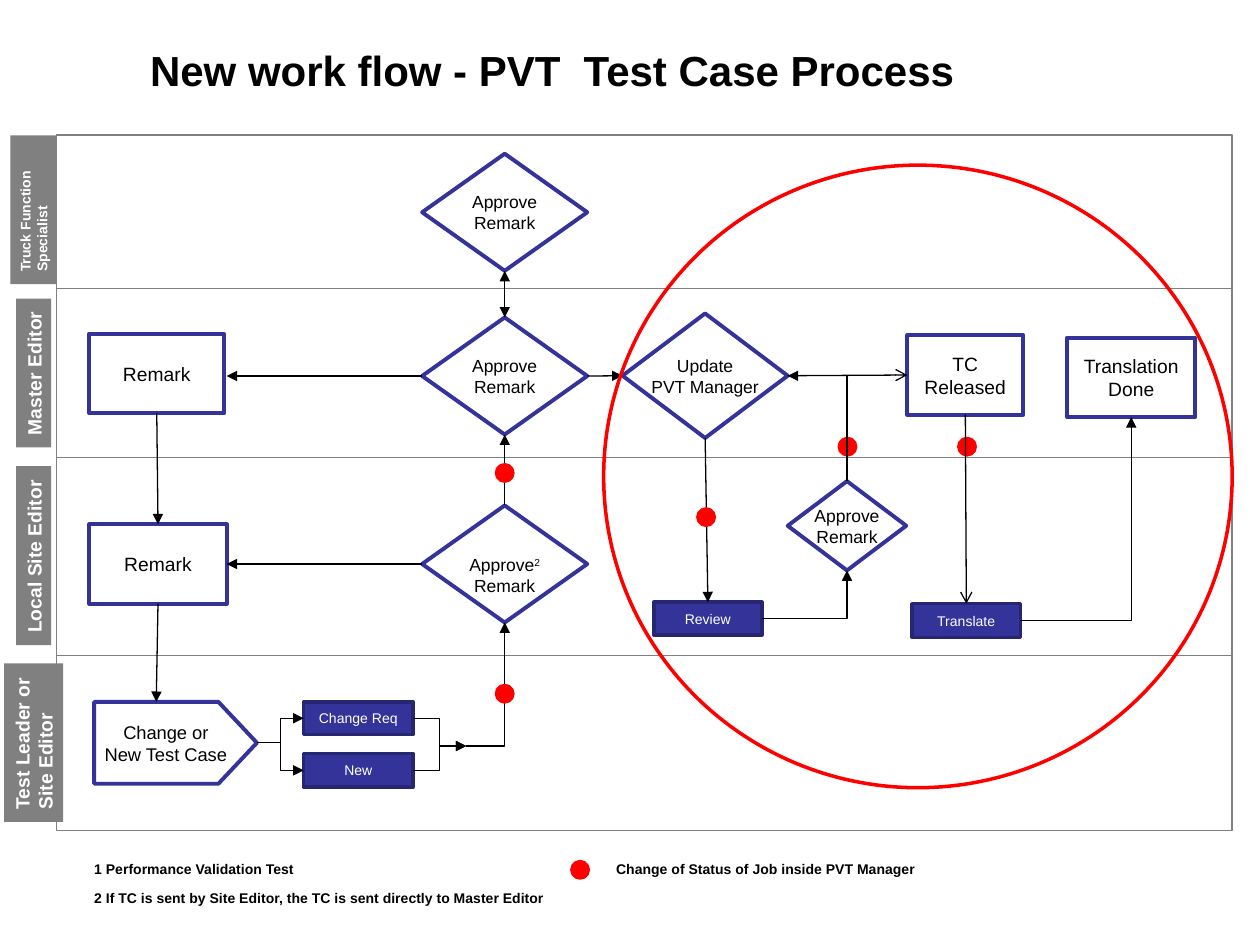
from dataclasses import dataclass
from itertools import pairwise

from lxml import etree
from pptx import Presentation
from pptx.dml.color import RGBColor
from pptx.enum.shapes import MSO_CONNECTOR, MSO_SHAPE
from pptx.enum.text import MSO_ANCHOR, MSO_AUTO_SIZE, PP_ALIGN
from pptx.oxml.ns import qn
from pptx.util import Cm, Pt

RECTANGLE, DIAMOND = MSO_SHAPE.RECTANGLE, MSO_SHAPE.DIAMOND
PENTAGON, OVAL = MSO_SHAPE.PENTAGON, MSO_SHAPE.OVAL
STRAIGHT, ELBOW = MSO_CONNECTOR.STRAIGHT, MSO_CONNECTOR.ELBOW
LEFT_ALIGN, CENTER = PP_ALIGN.LEFT, PP_ALIGN.CENTER
ANCHOR_TOP, ANCHOR_MIDDLE = MSO_ANCHOR.TOP, MSO_ANCHOR.MIDDLE
FIT_SHAPE = MSO_AUTO_SIZE.SHAPE_TO_FIT_TEXT
TOP, LEFT, BOTTOM, RIGHT = range(4)
SITE_FRACTIONS = ((0.5, 0), (0, 0.5), (0.5, 1), (1, 0.5))


@dataclass(frozen=True)
class Theme:
    font: str = "Arial"
    black: str = "000000"
    white: str = "FFFFFF"
    gray: str = "808080"
    blue: str = "333399"
    dark_blue: str = "262671"
    red: str = "FF0000"
    title: float = 24
    large: float = 11
    step: float = 10.5
    medium: float = 10
    small: float = 8
    thin: float = 0.75
    bold_line: float = 2
    heavy_line: float = 2.25


@dataclass(frozen=True)
class Box:
    left: float
    top: float
    width: float
    height: float

    def lengths(self):
        return Cm(self.left), Cm(self.top), Cm(self.width), Cm(self.height)


@dataclass(frozen=True)
class Label:
    text: str
    middle: float
    length: float
    thickness: float
    size: float
    wrap: bool = False


@dataclass(frozen=True)
class Node:
    name: str
    text: str
    kind: int
    box: Box
    size: float
    fill: str | None = None


@dataclass(frozen=True)
class Arrow:
    begin: tuple
    end: tuple
    head: str | None = None
    tail: str | None = "triangle"
    preset: str = "line"


THEME = Theme()
LANE_EDGES = (2.72, 5.82, 9.22, 13.21, 16.74)
LABELS = (
    Label("Truck Function Specialist", 4.23, 3.0, 0.94, THEME.small, True),
    Label("Master Editor", 7.52, 3.0, 0.71, THEME.large),
    Label("Local Site Editor", 11.2, 3.61, 0.71, THEME.large),
    Label("Test Leader or\vSite Editor", 14.97, 3.2, 1.19, THEME.large),
)
NODES = (
    Node("change", "Change or\vNew Test Case", PENTAGON, Box(1.9, 14.15, 3.28, 1.65), THEME.step),
    Node("update", "Update\vPVT Manager", DIAMOND, Box(12.55, 6.32, 3.33, 2.51), THEME.medium),
    Node("specialist", "Approve\vRemark", DIAMOND, Box(8.51, 3.1, 3.33, 2.36), THEME.medium),
    Node("master", "Approve\nRemark", DIAMOND, Box(8.51, 6.4, 3.33, 2.36), THEME.medium),
    Node("local", "Approve", DIAMOND, Box(8.51, 10.19, 3.33, 2.36), THEME.medium),
    Node("approval", "Approve\vRemark", DIAMOND, Box(15.88, 9.7, 2.39, 1.8), THEME.medium),
    Node("master remark", "Remark", RECTANGLE, Box(1.8, 6.73, 2.72, 1.6), THEME.large, THEME.white),
    Node("local remark", "Remark", RECTANGLE, Box(1.8, 10.57, 2.77, 1.6), THEME.large, THEME.white),
    Node("released", "TC Released", RECTANGLE, Box(18.29, 6.76, 2.34, 1.6), THEME.large, THEME.white),
    Node("done", "Translation Done", RECTANGLE, Box(21.51, 6.81, 2.59, 1.6), THEME.large, THEME.white),
    Node("request", "Change Req", RECTANGLE, Box(6.12, 14.15, 2.21, 0.66), THEME.small, THEME.blue),
    Node("new", "New", RECTANGLE, Box(6.12, 15.19, 2.21, 0.68), THEME.small, THEME.blue),
    Node("review", "Review", RECTANGLE, Box(13.18, 12.14, 2.18, 0.66), THEME.small, THEME.blue),
    Node("translate", "Translate", RECTANGLE, Box(18.39, 12.17, 2.18, 0.68), THEME.small, THEME.blue),
)
MERGE = (9.4, 15.04)
ARROWS_BELOW_DOTS = (
    Arrow(("change", RIGHT), ("request", LEFT), preset="bentConnector3"),
    Arrow(("change", RIGHT), ("new", LEFT), preset="bentConnector3"),
    Arrow(("request", RIGHT), MERGE, preset="bentConnector3"),
    Arrow(("new", RIGHT), MERGE, preset="bentConnector3"),
    Arrow(MERGE, ("local", BOTTOM), preset="bentConnector2"),
    Arrow(("local", TOP), ("master", BOTTOM)),
    Arrow(("master", TOP), ("specialist", BOTTOM), head="triangle"),
    Arrow(("master", RIGHT), ("update", LEFT)),
    Arrow(("master", LEFT), (4.57, 7.58)),
    Arrow(("local", LEFT), ("local remark", RIGHT)),
    Arrow(("master remark", BOTTOM), ("local remark", TOP)),
    Arrow(("local remark", BOTTOM), (3.15, 14.15)),
    Arrow(("update", BOTTOM), ("review", TOP)),
    Arrow(("review", RIGHT), ("approval", BOTTOM), preset="bentConnector2"),
    Arrow(("translate", RIGHT), ("done", BOTTOM), preset="bentConnector2"),
)
ARROWS_ABOVE_DOTS = (
    Arrow(("update", RIGHT), ("approval", TOP), "triangle", None, "bentConnector2"),
    Arrow(("update", RIGHT), ("released", LEFT), tail="arrow"),
    Arrow(("released", BOTTOM), ("translate", TOP), tail="arrow"),
)
DOT_SIZE = 0.33
DOTS = ((10.01, 13.82), (10.01, 9.37), (14.07, 10.26), (19.33, 8.84), (16.92, 8.84), (11.53, 17.37))
NOTES = (
    ("1 Performance Validation Test", Box(1.65, 17.22, 4.62, 0.58)),
    ("Change of Status of Job inside PVT Manager", Box(12.17, 17.22, 6.86, 0.58)),
    ("2 If TC is sent by Site Editor, the TC is sent directly to Master Editor", Box(1.65, 17.81, 9.68, 0.58)),
)


def format_text(frame, size: float, color: str, bold=False, align=LEFT_ALIGN, anchor=ANCHOR_TOP, wrap=False) -> None:
    frame.word_wrap = wrap
    frame.vertical_anchor = anchor
    for para in frame.paragraphs:
        para.alignment = align
        for span in para.runs:
            span.font.name = THEME.font
            span.font.size = Pt(size)
            span.font.bold = bold
            span.font.color.rgb = RGBColor.from_string(color)


def add_box(page, kind: int, box: Box, fill: str | None, line: str | None, width: float = THEME.thin):
    shape = page.shapes.add_shape(kind, *box.lengths())
    shape.shadow.inherit = False
    if fill:
        shape.fill.solid()
        shape.fill.fore_color.rgb = RGBColor.from_string(fill)
    else:
        shape.fill.background()
    if line:
        shape.line.color.rgb = RGBColor.from_string(line)
        shape.line.width = Pt(width)
    else:
        shape.line.fill.background()
    return shape


def add_label(page, label: Label) -> None:
    box = Box(0.68 - label.length / 2, label.middle - label.thickness / 2, label.length, label.thickness)
    shape = add_box(page, RECTANGLE, box, THEME.gray, None)
    shape.rotation = 270
    shape.text_frame.text = label.text
    shape.text_frame.auto_size = FIT_SHAPE
    format_text(shape.text_frame, label.size, THEME.white, True, wrap=label.wrap)


def add_node(page, node: Node):
    dark = node.fill == THEME.blue
    line, width = (THEME.dark_blue, THEME.bold_line) if dark else (THEME.blue, THEME.heavy_line)
    shape = add_box(page, node.kind, node.box, node.fill, line, width)
    frame = shape.text_frame
    frame.text = node.text
    if node.kind == PENTAGON:
        shape.adjustments[0] = 0.47
    if node.name == "local":
        para = frame.paragraphs[0]
        footnote = para.add_run()
        footnote.text = "2"
        footnote.font._element.set("baseline", "30000")
        para.add_line_break()
        para.add_run().text = "Remark"
        frame.margin_top, frame.margin_bottom = Cm(0.45), Cm(0)
    color = THEME.white if dark else THEME.black
    format_text(frame, node.size, color, False, CENTER, ANCHOR_MIDDLE, node.kind == RECTANGLE)
    return shape


def locate(anchor: tuple, nodes: dict) -> tuple[int, int]:
    if not isinstance(anchor[0], str):
        return Cm(anchor[0]), Cm(anchor[1])
    shape = nodes[anchor[0]]
    across, down = SITE_FRACTIONS[anchor[1]]
    return int(shape.left + across * shape.width), int(shape.top + down * shape.height)


def add_arrow(page, arrow: Arrow, nodes: dict) -> None:
    straight = arrow.preset == "line"
    ends = locate(arrow.begin, nodes) + locate(arrow.end, nodes)
    connector = page.shapes.add_connector(STRAIGHT if straight else ELBOW, *ends)
    if straight:
        for anchor, join in ((arrow.begin, connector.begin_connect), (arrow.end, connector.end_connect)):
            if isinstance(anchor[0], str):
                join(nodes[anchor[0]], anchor[1])
    connector.line.color.rgb = RGBColor.from_string(THEME.black)
    connector.line.width = Pt(THEME.thin)
    properties = connector._element.spPr
    properties.find(qn("a:prstGeom")).set("prst", arrow.preset)
    for tag, style in (("a:headEnd", arrow.head), ("a:tailEnd", arrow.tail)):
        if style:
            etree.SubElement(properties.find(qn("a:ln")), qn(tag), type=style)
    etree.SubElement(properties, qn("a:effectLst"))


def main() -> None:
    deck = Presentation()
    deck.slide_width, deck.slide_height = Cm(25.4), Cm(19.05)
    page = deck.slides.add_slide(deck.slide_layouts[5])
    title = page.shapes.title
    title.left, title.top, title.width, title.height = Box(2.77, 0.76, 16.89, 1.27).lengths()
    title.text_frame.text = "New work flow - PVT  Test Case Process"
    title.text_frame.auto_size = FIT_SHAPE
    format_text(title.text_frame, THEME.title, THEME.black, True)
    for top, bottom in pairwise(LANE_EDGES):
        add_box(page, RECTANGLE, Box(1.14, top, 23.7, bottom - top), None, THEME.gray)
    for label in LABELS:
        add_label(page, label)
    nodes = {node.name: add_node(page, node) for node in NODES}
    for arrow in ARROWS_BELOW_DOTS:
        add_arrow(page, arrow, nodes)
    for left, top in DOTS:
        add_box(page, OVAL, Box(left, top, DOT_SIZE, DOT_SIZE), THEME.red, THEME.red, THEME.bold_line)
    for text, box in NOTES:
        note = page.shapes.add_textbox(*box.lengths())
        note.text_frame.text = text
        note.text_frame.auto_size = FIT_SHAPE
        format_text(note.text_frame, THEME.small, THEME.black, True)
    for arrow in ARROWS_ABOVE_DOTS:
        add_arrow(page, arrow, nodes)
    add_box(page, OVAL, Box(12.17, 3.33, 12.67, 12.55), None, THEME.red, THEME.bold_line)
    deck.save("out.pptx")


if __name__ == "__main__":
    main()
